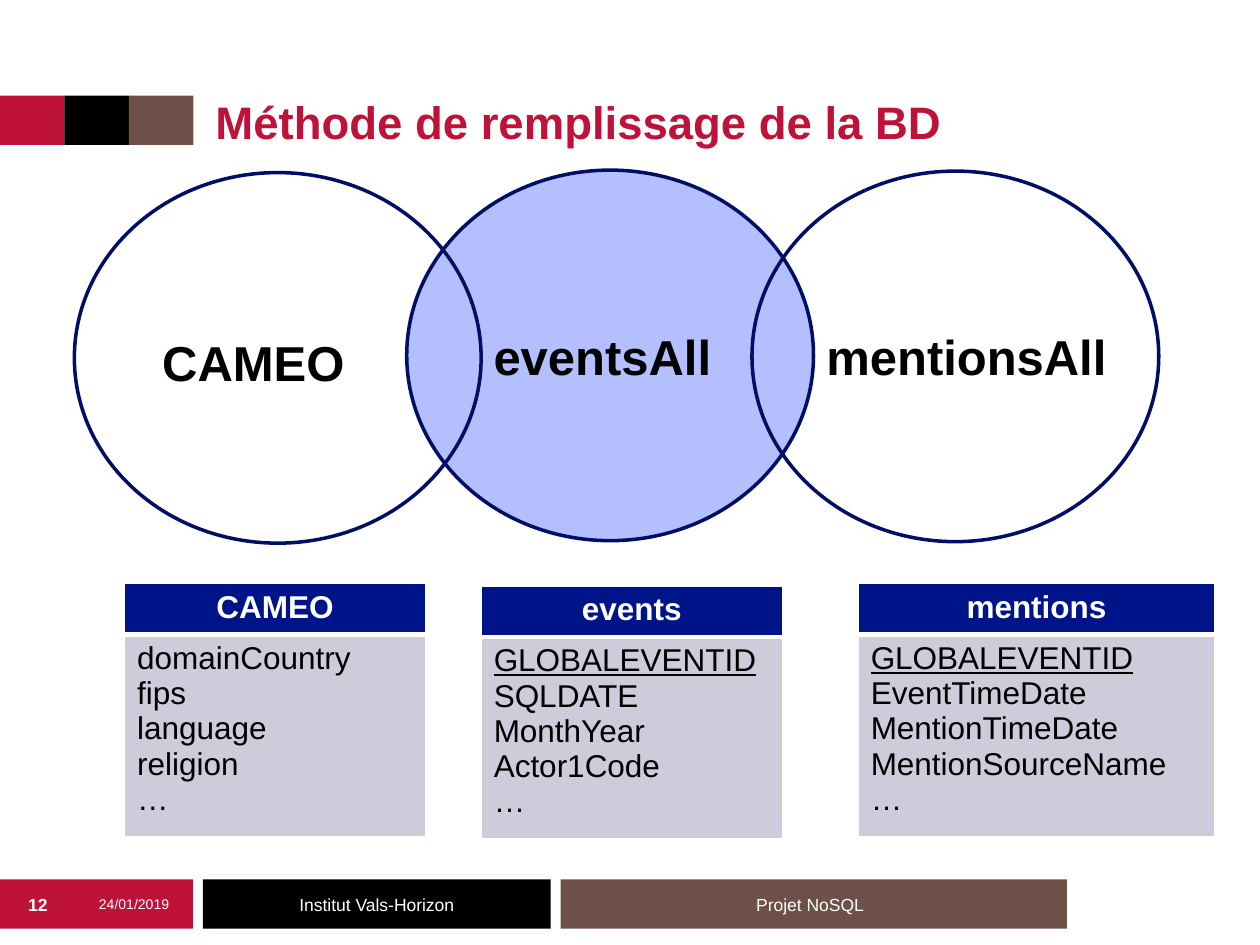
"""Builds the slide on how the database is filled: three linked sets and their tables."""
import lxml.etree
import pptx
import pptx.dml.color
import pptx.enum.shapes
import pptx.enum.text
import pptx.oxml.ns
import pptx.util

Cm = pptx.util.Cm
Pt = pptx.util.Pt
ALIGN = pptx.enum.text.PP_ALIGN
ANCHOR = pptx.enum.text.MSO_ANCHOR
SHAPE = pptx.enum.shapes.MSO_SHAPE

RED, BLACK, BROWN, WHITE = "BF1238", "000000", "6D5047", "FFFFFF"
NAVY, OUTLINE, LIGHT_BLUE, GREY = "001489", "000F65", "B4BFFF", "CCCCDA"


def color(value):
    return pptx.dml.color.RGBColor.from_string(value)


class SlideBuilder:
    font_name = "Arial"

    def __init__(self, slide):
        self.slide = slide

    def format_text(self, text_frame, size, fill, bold=False, align=ALIGN.LEFT):
        for paragraph in text_frame.paragraphs:
            paragraph.alignment = align
            for run in paragraph.runs:
                run.font.name = self.font_name
                run.font.size = Pt(size)
                run.font.bold = bold
                run.font.color.rgb = color(fill)

    def title(self, text, left, top, width, height):
        title = self.slide.shapes.title
        title.left, title.top, title.width, title.height = map(Cm, (left, top, width, height))
        text_frame = title.text_frame
        text_frame.text = text
        text_frame.auto_size = pptx.enum.text.MSO_AUTO_SIZE.NONE
        text_frame.vertical_anchor = ANCHOR.BOTTOM
        self.format_text(text_frame, 26, RED, True)

    def shape(self, kind, left, top, width, height, fill=None, line=None):
        shape = self.slide.shapes.add_shape(kind, Cm(left), Cm(top), Cm(width), Cm(height))
        shape.shadow.inherit = False
        if fill:
            shape.fill.solid()
            shape.fill.fore_color.rgb = color(fill)
        else:
            shape.fill.background()
        if line:
            shape.line.color.rgb = color(line)
            shape.line.width = Pt(2)
        else:
            shape.line.fill.background()
        return shape

    def text(self, text, left, top, width, height, size, fill=BLACK, bold=False,
             align=ALIGN.CENTER, anchor=ANCHOR.TOP):
        box = self.slide.shapes.add_textbox(Cm(left), Cm(top), Cm(width), Cm(height))
        text_frame = box.text_frame
        text_frame.word_wrap = True
        text_frame.vertical_anchor = anchor
        text_frame.text = text
        self.format_text(text_frame, size, fill, bold, align)
        return box

    def borders(self, cell, bottom):
        properties = cell._tc.get_or_add_tcPr()
        for side, width in (("L", 1), ("R", 1), ("T", 1), ("B", bottom)):
            line = lxml.etree.SubElement(
                properties, pptx.oxml.ns.qn(f"a:ln{side}"), w=str(Pt(width)))
            fill = lxml.etree.SubElement(line, pptx.oxml.ns.qn("a:solidFill"))
            lxml.etree.SubElement(fill, pptx.oxml.ns.qn("a:srgbClr"), val=WHITE)

    def table(self, heading, fields, left, top, width, has_key):
        header_height, body_height = 1.03, 4.07
        table = self.slide.shapes.add_table(
            2, 1, Cm(left), Cm(top), Cm(width), Cm(header_height + body_height)).table
        table.rows[0].height = Cm(header_height)
        table.rows[1].height = Cm(body_height)
        header, body = table.cell(0, 0), table.cell(1, 0)
        header.text_frame.text = heading
        body.text_frame.text = "\n".join(fields)
        for cell, fill, bottom in ((header, NAVY, 3), (body, GREY, 1)):
            self.borders(cell, bottom)
            cell.fill.solid()
            cell.fill.fore_color.rgb = color(fill)
        self.format_text(header.text_frame, 18, WHITE, True, ALIGN.CENTER)
        self.format_text(body.text_frame, 18, BLACK)
        if has_key:
            body.text_frame.paragraphs[0].runs[0].font.underline = True


def main():
    presentation = pptx.Presentation()
    presentation.slide_width, presentation.slide_height = Cm(25.4), Cm(19.05)
    slide = presentation.slides.add_slide(presentation.slide_layouts[5])
    builder = SlideBuilder(slide)

    band_height, footer_top = 0.99, 17.73
    for left, width, fill in ((0, 3.89, RED), (4.09, 7.01, BLACK), (11.3, 10.21, BROWN)):
        builder.shape(SHAPE.RECTANGLE, left, footer_top, width, band_height, fill)
    for index, fill in enumerate((RED, BLACK, BROWN)):
        builder.shape(SHAPE.RECTANGLE, index * 1.3, 1.93, 1.3, band_height, fill)

    footers = (
        ("12", 0.03, 1.47, 10, True),
        ("24/01/2019", 1.5, 2.41, 8, False),
        ("Institut Vals-Horizon", 4.09, 7.01, 10, False),
        ("Projet NoSQL", 11.3, 10.21, 10, False),
    )
    for text, left, width, size, bold in footers:
        box = builder.text(text, left, footer_top, width, band_height, size, WHITE, bold,
                           anchor=ANCHOR.MIDDLE)
    box.text_frame.margin_right = Cm(0.4)

    builder.title("Méthode de remplissage de la BD", 4.09, 0, 20.04, 3.12)

    for left, top, fill in ((8.2, 3.43, LIGHT_BLUE), (15.16, 3.45, None), (1.5, 3.48, None)):
        builder.shape(SHAPE.OVAL, left, top, 8.2, 7.47, fill, OUTLINE)
    labels = (
        ("CAMEO", 2.26, 6.58, 5.69, ALIGN.CENTER),
        ("eventsAll", 9.7, 6.45, 5.69, ALIGN.LEFT),
        ("mentionsAll", 16.41, 6.45, 6.5, ALIGN.LEFT),
    )
    for text, left, top, width, align in labels:
        builder.text(text, left, top, width, 1.45, 28, bold=True, align=align)

    builder.table("CAMEO", ("domainCountry", "fips", "language", "religion", "…"),
                  2.51, 11.76, 6.07, False)
    builder.table("events", ("GLOBALEVENTID", "SQLDATE", "MonthYear", "Actor1Code", "…"),
                  9.7, 11.81, 6.07, True)
    builder.table("mentions", ("GLOBALEVENTID", "EventTimeDate", "MentionTimeDate",
                               "MentionSourceName", "…"), 17.3, 11.76, 7.19, True)

    presentation.save("out.pptx")


if __name__ == "__main__":
    main()
